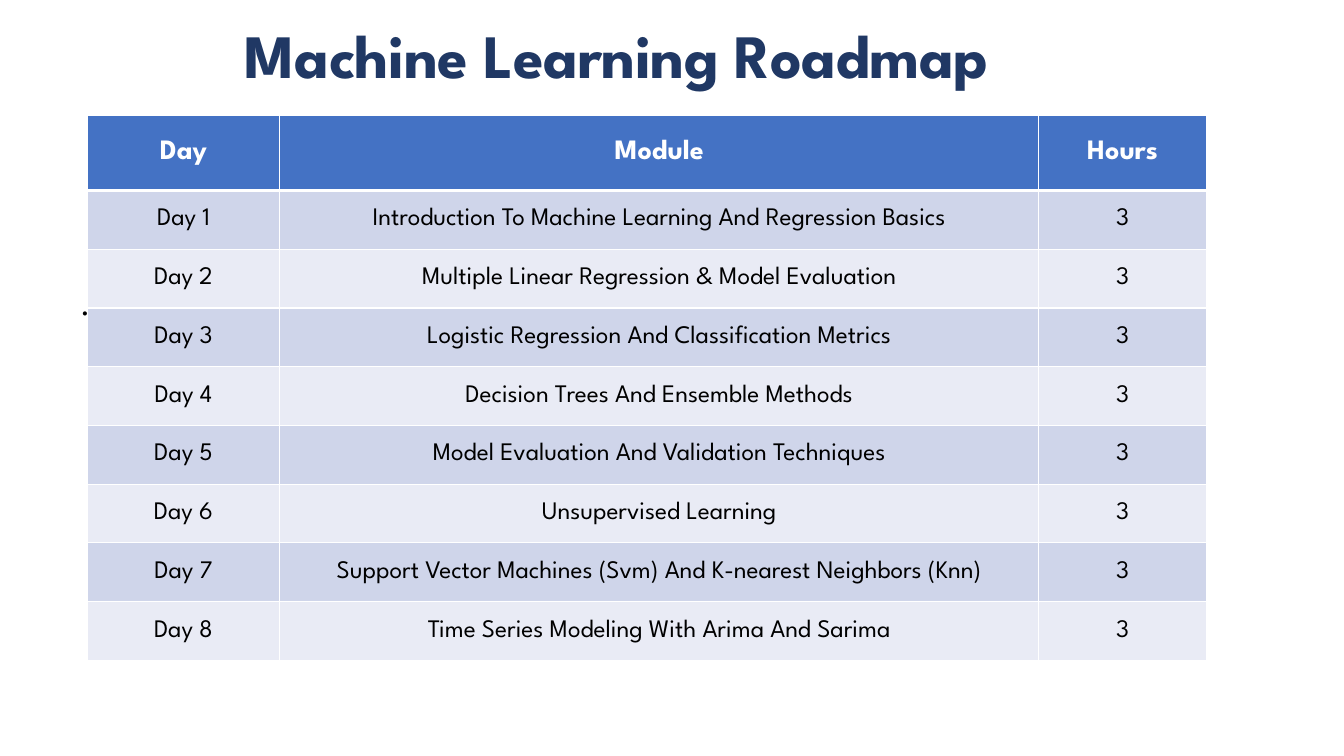
from lxml import etree
from pptx import Presentation
from pptx.dml.color import RGBColor
from pptx.enum.text import MSO_ANCHOR, MSO_AUTO_SIZE, PP_ALIGN
from pptx.oxml.ns import qn
from pptx.util import Cm, Pt

MIDDLE = MSO_ANCHOR.MIDDLE
NO_FIT = MSO_AUTO_SIZE.NONE
LEFT, CENTER = PP_ALIGN.LEFT, PP_ALIGN.CENTER
FONT = "League Spartan"
COLORS = {
    "title": "203864",
    "header": "4472C4",
    "odd": "CFD5EA",
    "even": "E9EBF5",
    "white": "FFFFFF",
    "black": "000000",
}
MODULES = [
    "Introduction To Machine Learning And Regression Basics",
    "Multiple Linear Regression & Model Evaluation",
    "Logistic Regression And Classification Metrics",
    "Decision Trees And Ensemble Methods",
    "Model Evaluation And Validation Techniques",
    "Unsupervised Learning",
    "Support Vector Machines (Svm) And K-nearest Neighbors (Knn)",
    "Time Series Modeling With Arima And Sarima",
]
HOURS = "3"
COLUMN_WIDTHS = [4.85, 19.13, 4.22]
HEADER_HEIGHT, ROW_HEIGHT = 1.88, 1.48


def style(para, name, size, color, align, bold=False):
    para.alignment = align
    para.font.name = name
    para.font.size = Pt(size)
    para.font.bold = bold
    para.font.color.rgb = RGBColor.from_string(COLORS[color])


def add_border(cell, side, width):
    line = etree.SubElement(cell._tc.get_or_add_tcPr(), qn(f"a:ln{side}"), w=str(Pt(width)))
    fill = etree.SubElement(line, qn("a:solidFill"))
    etree.SubElement(fill, qn("a:srgbClr"), val=COLORS["white"])


deck = Presentation()
deck.slide_width, deck.slide_height = Cm(33.87), Cm(19.05)
page = deck.slides.add_slide(deck.slide_layouts[5])

title = page.shapes.title
title.left, title.top, title.width, title.height = Cm(6.17), Cm(0.58), Cm(20.24), Cm(1.78)
frame = title.text_frame
frame.text = "Machine Learning Roadmap"
frame.auto_size = NO_FIT
frame.word_wrap = True
frame.vertical_anchor = MIDDLE
frame.margin_left = frame.margin_right = frame.margin_top = frame.margin_bottom = 0
para = frame.paragraphs[0]
para.line_spacing = 0.9
style(para, FONT, 44, "title", LEFT, bold=True)
para.runs[0]._r.get_or_add_rPr().set("spc", "-30")

dot = page.shapes.add_textbox(Cm(1.78), Cm(7.06), Cm(1.2), Cm(1.17))
dot.text_frame.word_wrap = True
dot.text_frame.text = "."
dot.text_frame.paragraphs[0].line_spacing = 0.9
style(dot.text_frame.paragraphs[0], "Times New Roman", 25, "black", LEFT)

rows = [["Day", "Module", "Hours"]]
rows += [[f"Day {day}", module, HOURS] for day, module in enumerate(MODULES, 1)]
table_height = HEADER_HEIGHT + ROW_HEIGHT * len(MODULES)
roadmap = page.shapes.add_table(
    len(rows), len(COLUMN_WIDTHS), Cm(2.2), Cm(2.92), Cm(sum(COLUMN_WIDTHS)), Cm(table_height)
).table
for column, width in zip(roadmap.columns, COLUMN_WIDTHS):
    column.width = Cm(width)

for row_index, values in enumerate(rows):
    is_header = row_index == 0
    roadmap.rows[row_index].height = Cm(HEADER_HEIGHT if is_header else ROW_HEIGHT)
    band = "header" if is_header else "odd" if row_index % 2 else "even"
    for column_index, value in enumerate(values):
        cell = roadmap.cell(row_index, column_index)
        cell.text = value
        cell.vertical_anchor = MIDDLE
        for side in "LRTB":
            beside_header = (row_index, side) in [(0, "B"), (1, "T")]
            add_border(cell, side, 3 if beside_header else 1)
        cell.fill.solid()
        cell.fill.fore_color.rgb = RGBColor.from_string(COLORS[band])
        size, color = (20, "white") if is_header else (18, "black")
        style(cell.text_frame.paragraphs[0], FONT, size, color, CENTER, bold=is_header)

deck.save("out.pptx")
